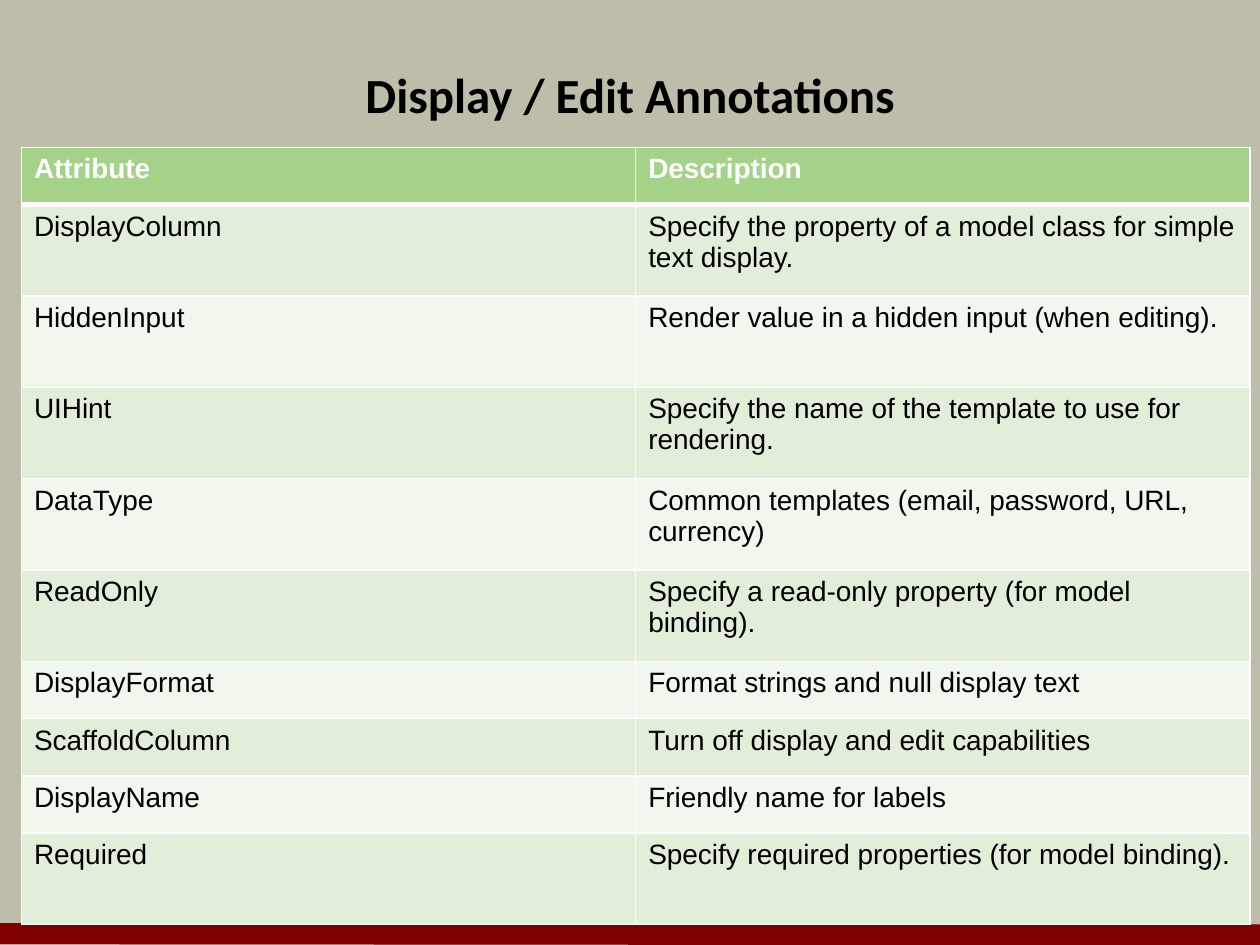
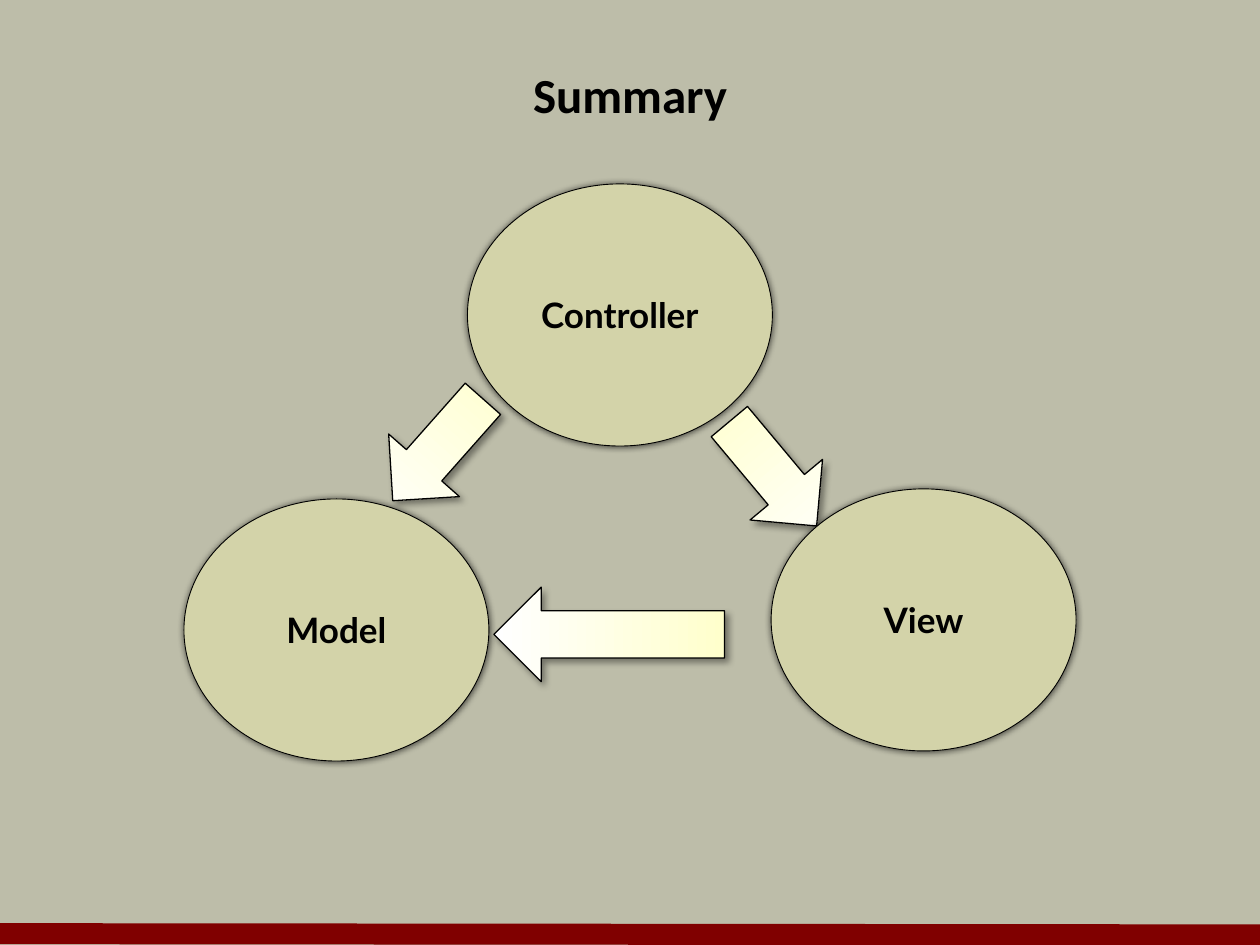
from lxml import etree
from pptx import Presentation
from pptx.dml.color import RGBColor
from pptx.enum.shapes import MSO_CONNECTOR, MSO_SHAPE
from pptx.enum.text import MSO_ANCHOR, PP_ALIGN
from pptx.oxml.ns import qn
from pptx.util import Inches, Pt

STRAIGHT = MSO_CONNECTOR.STRAIGHT
OVAL, DOWN_ARROW = MSO_SHAPE.OVAL, MSO_SHAPE.DOWN_ARROW
CENTER, LEFT = PP_ALIGN.CENTER, PP_ALIGN.LEFT
MIDDLE = MSO_ANCHOR.MIDDLE

BACKGROUND = RGBColor(0xBD, 0xBD, 0xA9)
BAND_RED = RGBColor(0x80, 0x00, 0x00)
BLACK = RGBColor(0x00, 0x00, 0x00)
WHITE = RGBColor(0xFF, 0xFF, 0xFF)
HEADER_GREEN = RGBColor(0xA4, 0xD2, 0x89)
ROW_GREENS = (RGBColor(0xE0, 0xEE, 0xDA), RGBColor(0xF0, 0xF7, 0xED))
OVAL_FILL = RGBColor(0xD3, 0xD3, 0xA9)
ARROW_YELLOW = RGBColor(0xFF, 0xFF, 0xCC)

TITLE_FONT = {"name": "Calibri", "size": Pt(28), "bold": True}
OVAL_FONT = {"name": "Lato", "size": Pt(20), "bold": True}
CELL_FONT = {"name": "Arial", "size": Pt(16)}

# Content
ANNOTATIONS_TITLE = "Display / Edit Annotations"
SHORT_ROW, TALL_ROW = 0.455, 0.725
ANNOTATIONS = [
    ("Attribute", "Description", SHORT_ROW),
    ("DisplayColumn", "Specify the property of a model class for simple text display.", TALL_ROW),
    ("HiddenInput", "Render value in a hidden input (when editing).", TALL_ROW),
    ("UIHint", "Specify the name of the template to use for rendering.", TALL_ROW),
    ("DataType", "Common templates (email, password, URL, currency)", TALL_ROW),
    ("ReadOnly", "Specify a read-only property (for model binding).", TALL_ROW),
    ("DisplayFormat", "Format strings and null display text", SHORT_ROW),
    ("ScaffoldColumn", "Turn off display and edit capabilities", SHORT_ROW),
    ("DisplayName", "Friendly name for labels", SHORT_ROW),
    ("Required", "Specify required properties (for model binding).", TALL_ROW),
]

SUMMARY_TITLE = "Summary"
OVAL_SIZE = (2.42, 2.08)
OVALS = [("Controller", 3.71, 1.46), ("Model", 1.46, 3.96), ("View", 6.12, 3.88)]
ARROW_WIDTH = 0.75
ARROWS = [  # left, top, length, rotation
    (5.76, 3.22, 1.08, 320.1),  # Controller to View
    (3.1, 3.03, 1.08, 41.5),    # Controller to Model
    (4.46, 4.12, 1.83, 90),     # View to Model
]


def set_format(target, values):
    for name, value in values.items():
        setattr(target, name, value)


def write_text(text_frame, text, font, color, alignment=CENTER):
    text_frame.text = text
    paragraph = text_frame.paragraphs[0]
    paragraph.alignment = alignment
    set_format(paragraph.font, font)
    paragraph.font.color.rgb = color


def add_shadow(shape, alpha, blur, distance, angle):
    shape.shadow.inherit = False
    effects = shape._element.spPr.find(qn("a:effectLst"))
    shadow = etree.SubElement(effects, qn("a:outerShdw"), blurRad=str(Pt(blur)),
                              dist=str(Pt(distance)), dir=str(angle * 60000),
                              algn="ctr", rotWithShape="0")
    color = etree.SubElement(shadow, qn("a:srgbClr"), val=str(BLACK))
    etree.SubElement(color, qn("a:alpha"), val=str(alpha * 1000))


def set_borders(cell, bottom_width, top_width):
    properties = cell._tc.get_or_add_tcPr()
    widths = {"lnL": 1, "lnR": 1, "lnT": top_width, "lnB": bottom_width}
    for position, (side, width) in enumerate(widths.items()):
        border = etree.Element(qn("a:" + side), w=str(Pt(width)))
        fill = etree.SubElement(border, qn("a:solidFill"))
        etree.SubElement(fill, qn("a:srgbClr"), val=str(WHITE))
        properties.insert(position, border)


def add_titled_slide(presentation, title_text):
    slide = presentation.slides.add_slide(presentation.slide_layouts[5])
    # Red band along the bottom edge
    band = slide.shapes.add_connector(STRAIGHT, 0, Inches(7.41), Inches(10), Inches(7.42))
    band.line.color.rgb = BAND_RED
    band.line.width = Pt(12)
    etree.SubElement(band._element.spPr, qn("a:effectLst"))
    # Title
    title = slide.shapes.title
    set_format(title, {"left": Inches(0.5), "top": Inches(0.33),
                       "width": Inches(9), "height": Inches(0.83)})
    title.text_frame.vertical_anchor = MIDDLE
    write_text(title.text_frame, title_text, TITLE_FONT, BLACK)
    return slide


def add_annotation_table(slide):
    height = sum(row[-1] for row in ANNOTATIONS)
    table = slide.shapes.add_table(len(ANNOTATIONS), 2, Inches(0.17), Inches(1.17),
                                   Inches(9.75), Inches(height)).table
    for row_index, (*texts, row_height) in enumerate(ANNOTATIONS):
        table.rows[row_index].height = Inches(row_height)
        is_header = row_index == 0
        for column_index, text in enumerate(texts):
            cell = table.cell(row_index, column_index)
            cell.fill.solid()
            cell.fill.fore_color.rgb = HEADER_GREEN if is_header else ROW_GREENS[(row_index - 1) % 2]
            set_borders(cell, 3 if is_header else 1, 3 if row_index == 1 else 1)
            write_text(cell.text_frame, text, {**CELL_FONT, "bold": is_header},
                       WHITE if is_header else BLACK, LEFT)


def add_arrow(slide, left, top, length, rotation):
    arrow = slide.shapes.add_shape(DOWN_ARROW, Inches(left), Inches(top),
                                   Inches(ARROW_WIDTH), Inches(length))
    arrow.rotation = rotation
    arrow.fill.gradient()
    arrow.fill.gradient_angle = 270
    for stop, color in zip(arrow.fill.gradient_stops, (ARROW_YELLOW, WHITE)):
        stop.color.rgb = color
    arrow.line.color.rgb = BLACK
    arrow.line.width = Pt(0.75)
    add_shadow(arrow, alpha=40, blur=4, distance=3, angle=45)


def add_oval(slide, label, left, top):
    oval = slide.shapes.add_shape(OVAL, Inches(left), Inches(top), *map(Inches, OVAL_SIZE))
    oval.fill.solid()
    oval.fill.fore_color.rgb = OVAL_FILL
    oval.line.color.rgb = BLACK
    oval.line.width = Pt(0.5)
    add_shadow(oval, alpha=64, blur=4, distance=0, angle=0)
    set_format(oval.text_frame, {"word_wrap": False, "vertical_anchor": MIDDLE})
    write_text(oval.text_frame, label, OVAL_FONT, BLACK)


def main():
    presentation = Presentation()
    presentation.slide_width, presentation.slide_height = Inches(10), Inches(7.5)
    background = presentation.slide_master.background.fill
    background.solid()
    background.fore_color.rgb = BACKGROUND

    # Annotation table
    add_annotation_table(add_titled_slide(presentation, ANNOTATIONS_TITLE))

    # Model, view and controller diagram
    summary = add_titled_slide(presentation, SUMMARY_TITLE)
    for arrow in ARROWS:
        add_arrow(summary, *arrow)
    for oval in OVALS:
        add_oval(summary, *oval)

    presentation.save("out.pptx")


if __name__ == "__main__":
    main()
